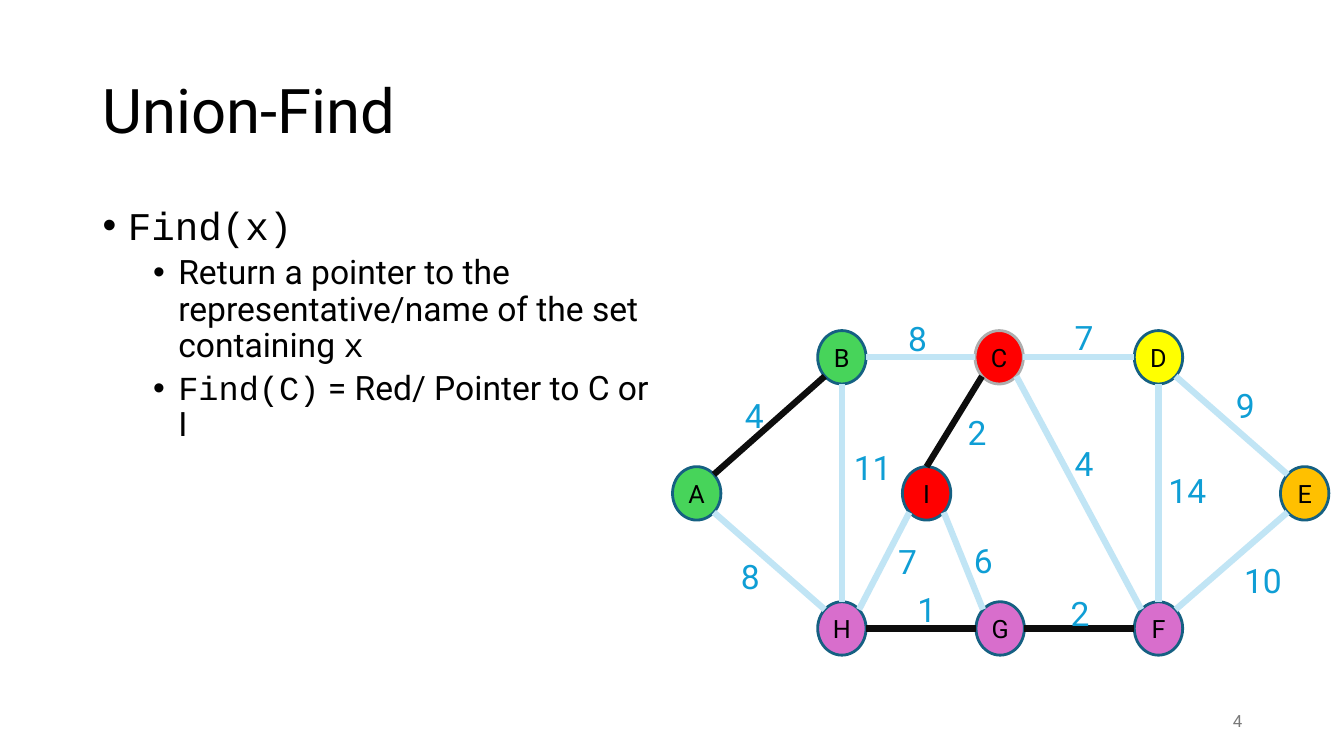
from dataclasses import dataclass

from lxml import etree
from pptx import Presentation, util as u
from pptx.dml.color import RGBColor
from pptx.enum import shapes, text
from pptx.oxml.ns import qn

PX = 9144  # EMU per px, 100 px to the inch


@dataclass(frozen=True)
class Theme:
    sans: str = "Roboto"
    mono: str = "Courier New"
    ink: str = "000000"
    page: str = "797979"
    weight: str = "0F9ED5"
    edge: str = "C1E5F5"
    chosen: str = "0D0D0D"
    outline: str = "156082"
    pale_outline: str = "AEAEAE"
    green: str = "47D45A"
    red: str = "FF0000"
    yellow: str = "FFFF00"
    orange: str = "FFC000"
    violet: str = "D86ECC"
    title_pt: int = 44
    find_pt: int = 28
    detail_pt: int = 24
    weight_pt: int = 24
    node_pt: int = 18
    page_pt: int = 12


theme = Theme()


def px(*lengths):
    return [round(length * PX) for length in lengths]


def style(run, size, color, font=theme.sans):
    run.font.size = u.Pt(size)
    run.font.name = font
    run.font.color.rgb = RGBColor.from_string(color)


deck = Presentation()
deck.slide_width, deck.slide_height = px(1333, 750)
slide = deck.slides.add_slide(deck.slide_layouts[5])

# Title
title = slide.shapes.title
title.left, title.top, title.width, title.height = px(92, 40, 1150, 145)
title.text_frame.text = "Union-Find"
title.text_frame.auto_size = text.MSO_AUTO_SIZE.NONE
title.text_frame.vertical_anchor = text.MSO_ANCHOR.MIDDLE
heading = title.text_frame.paragraphs[0]
heading.alignment = text.PP_ALIGN.LEFT
heading.line_spacing = 0.9
style(heading.runs[0], theme.title_pt, theme.ink)

# Explanation: level, size, space before, runs
points = [
    (0, theme.find_pt, 0, [("Find(x)", theme.mono)]),
    (1, theme.detail_pt, 5, [
        ("Return a pointer to the representative/name of the set containing ", theme.sans),
        ("x", theme.mono)]),
    (1, theme.detail_pt, 5, [
        ("Find(C)", theme.mono), (" = Red/ Pointer to C or I", theme.sans)]),
]
explanation = slide.shapes.add_textbox(*px(92, 200, 567, 476)).text_frame
explanation.word_wrap = True
for i, (level, size, before, parts) in enumerate(points):
    point = explanation.add_paragraph() if i else explanation.paragraphs[0]
    point.level = level
    point.line_spacing = 0.9
    point.space_before = u.Pt(before)
    props = point._p.get_or_add_pPr()
    margin, indent = px(25 + 50 * level, -25)
    props.set("marL", str(margin))
    props.set("indent", str(indent))
    etree.SubElement(props, qn("a:buFont")).set("typeface", "Arial")
    etree.SubElement(props, qn("a:buChar")).set("char", "•")
    for words, font in parts:
        run = point.add_run()
        run.text = words
        style(run, size, theme.ink, font)

# Page number
page = slide.shapes.add_textbox(*px(942, 695, 300, 40)).text_frame
page.text = "4"
page.vertical_anchor = text.MSO_ANCHOR.MIDDLE
page.word_wrap = True
page.paragraphs[0].alignment = text.PP_ALIGN.RIGHT
style(page.paragraphs[0].runs[0], theme.page_pt, theme.page)

# Graph nodes: left, top, fill
NODE_W, NODE_H = 48, 53
TOP, MIDDLE, BOTTOM = 328, 463, 597
nodes = {
    "A": (667, MIDDLE, theme.green),
    "B": (811, TOP, theme.green),
    "C": (967, TOP, theme.red),
    "D": (1125, TOP, theme.yellow),
    "E": (1270, MIDDLE, theme.orange),
    "F": (1125, BOTTOM, theme.violet),
    "G": (968, BOTTOM, theme.violet),
    "H": (811, BOTTOM, theme.violet),
    "I": (895, MIDDLE, theme.red),
}
for name, (left, top, fill) in nodes.items():
    node = slide.shapes.add_shape(shapes.MSO_SHAPE.OVAL, *px(left, top, NODE_W, NODE_H))
    node.shadow.inherit = False
    node.fill.solid()
    node.fill.fore_color.rgb = RGBColor.from_string(fill)
    outline = theme.pale_outline if name == "C" else theme.outline
    node.line.color.rgb = RGBColor.from_string(outline)
    node.line.width = u.Pt(2)
    label = node.text_frame
    label.margin_left = label.margin_right = 0
    label.vertical_anchor = text.MSO_ANCHOR.MIDDLE
    label.text = name
    label.paragraphs[0].alignment = text.PP_ALIGN.CENTER
    style(label.paragraphs[0].runs[0], theme.node_pt, theme.ink)

# Graph edges: node and side at each end, colour, weight, weight's left and top
sides = {"N": (0, -1), "S": (0, 1), "W": (-1, 0), "E": (1, 0),
         "NW": (-0.71, -0.71), "NE": (0.71, -0.71),
         "SW": (-0.71, 0.71), "SE": (0.71, 0.71)}
edges = [
    ("A", "NE", "B", "SW", theme.chosen, 4, 729, 387),
    ("A", "SE", "H", "NW", theme.edge, 8, 725, 547),
    ("B", "E", "C", "W", theme.edge, 8, 891, 310),
    ("B", "S", "H", "N", theme.edge, 11, 837, 438),
    ("C", "E", "D", "W", theme.edge, 7, 1056, 309),
    ("C", "SW", "I", "N", theme.chosen, 2, 950, 404),
    ("C", "SE", "F", "NW", theme.edge, 4, 1056, 434),
    ("D", "SE", "E", "NW", theme.edge, 9, 1216, 377),
    ("D", "S", "F", "N", theme.edge, 14, 1149, 461),
    ("F", "NE", "E", "SW", theme.edge, 10, 1224, 551),
    ("G", "E", "F", "W", theme.chosen, 2, 1052, 583),
    ("H", "E", "G", "W", theme.chosen, 1, 900, 579),
    ("H", "NE", "I", "SW", theme.edge, 7, 881, 532),
    ("I", "SE", "G", "NW", theme.edge, 6, 956, 531),
]
for start, start_side, end, end_side, color, weight, left, top in edges:
    ends = []
    for name, side in ((start, start_side), (end, end_side)):
        across, down = sides[side]
        ends += [nodes[name][0] + NODE_W / 2 * (1 + across),
                 nodes[name][1] + NODE_H / 2 * (1 + down)]
    edge = slide.shapes.add_connector(shapes.MSO_CONNECTOR.STRAIGHT, *px(*ends))
    edge.line.color.rgb = RGBColor.from_string(color)
    edge.line.width = u.Pt(4.5)
    etree.SubElement(edge._element.spPr, qn("a:effectLst"))

    cost = slide.shapes.add_textbox(*px(left, top, 67, 44)).text_frame
    cost.word_wrap = True
    cost.text = str(weight)
    style(cost.paragraphs[0].runs[0], theme.weight_pt, theme.weight)

deck.save("out.pptx")
